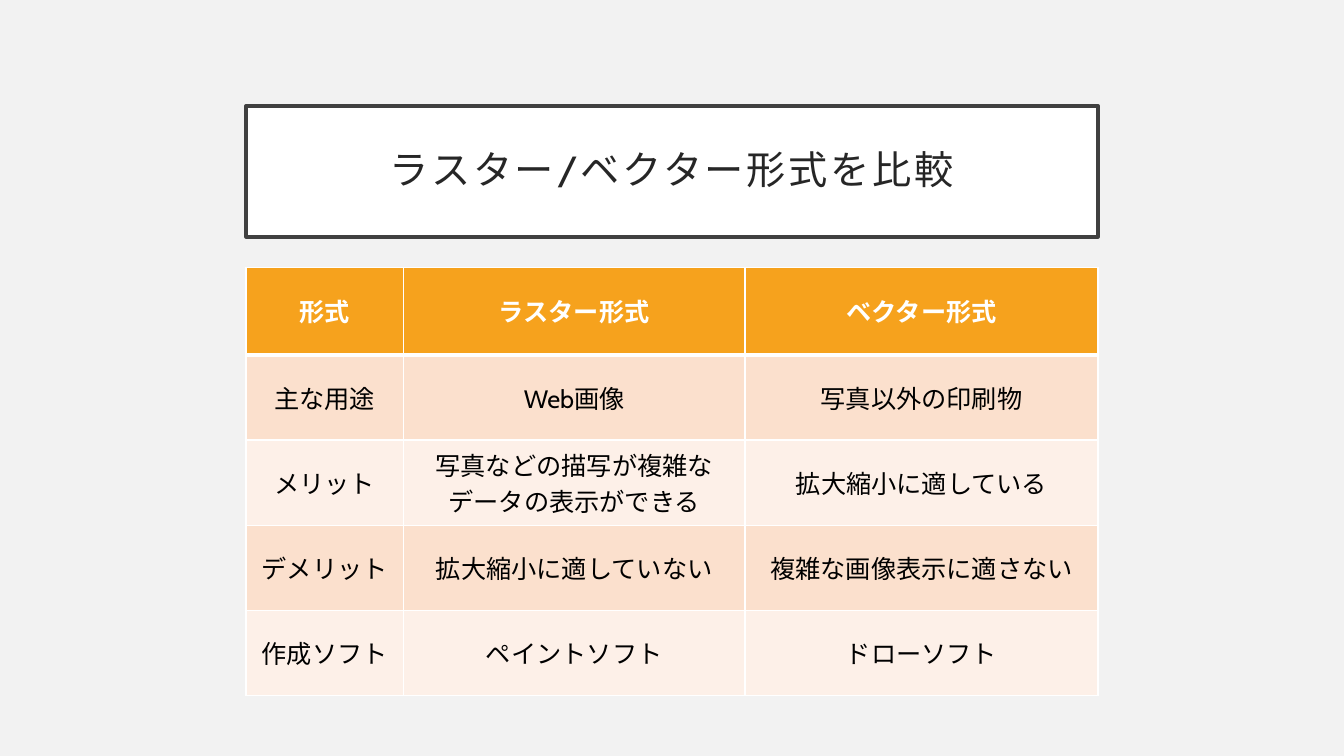
"""Build a slide comparing raster and vector formats in a table."""
from dataclasses import dataclass

from lxml.etree import SubElement
from pptx import Presentation
from pptx.dml.color import RGBColor as Rgb
from pptx.enum.lang import MSO_LANGUAGE_ID as Language
from pptx.enum.shapes import MSO_SHAPE as Shape
from pptx.enum.text import MSO_ANCHOR as Anchor, PP_ALIGN as Align
from pptx.oxml.ns import qn
from pptx.util import Inches, Pt

COLORS = {
    "page": "F2F2F2",
    "white": "FFFFFF",
    "frame": "404040",
    "title": "262626",
    "header": "F6A21D",
    "odd": "FBE0CD",
    "even": "FDF0E8",
    "body": "000000",
}
LEFT = 2.44
COLUMN_WIDTHS = (1.56, 3.39, 3.5)
HEADER_HEIGHT, BODY_HEIGHT = 0.87, 0.845
THIN, THICK = 1, 3


@dataclass(frozen=True)
class TextStyle:
    color: str
    size: float = 18
    bold: bool = False


@dataclass(frozen=True)
class RowStyle:
    fill: str
    text: TextStyle
    top: float = THIN
    bottom: float = THIN


TITLE_TEXT = TextStyle("title", 28)
BODY_TEXT = TextStyle("body")
HEADER_ROW = RowStyle("header", TextStyle("white", bold=True), bottom=THICK)
FIRST_ROW = RowStyle("odd", BODY_TEXT, top=THICK)
ODD_ROW = RowStyle("odd", BODY_TEXT)
EVEN_ROW = RowStyle("even", BODY_TEXT)

ROWS = (
    (HEADER_ROW, ("形式", "ラスター形式", "ベクター形式")),
    (FIRST_ROW, ("主な用途", "Web画像", "写真以外の印刷物")),
    (EVEN_ROW, ("メリット", "写真などの描写が複雑なデータの表示ができる", "拡大縮小に適している")),
    (ODD_ROW, ("デメリット", "拡大縮小に適していない", "複雑な画像表示に適さない")),
    (EVEN_ROW, ("作成ソフト", "ペイントソフト", "ドローソフト")),
)


def color(name: str) -> Rgb:
    return Rgb.from_string(COLORS[name])


def paint(fill, name: str) -> None:
    fill.solid()
    fill.fore_color.rgb = color(name)


def write(frame, text: str, style: TextStyle):
    para = frame.paragraphs[0]
    para.alignment = Align.CENTER
    span = para.add_run()
    span.text = text
    font_format = {
        "name": "Cabin",
        "size": Pt(style.size),
        "bold": style.bold,
        "language_id": Language.JAPANESE,
    }
    for key, value in font_format.items():
        setattr(span.font, key, value)
    span.font.color.rgb = color(style.color)
    return para, span


def add_title(page, text: str) -> None:
    box = page.shapes.add_shape(
        Shape.RECTANGLE, Inches(LEFT), Inches(1.05), Inches(sum(COLUMN_WIDTHS)), Inches(1.3)
    )
    box.shadow.inherit = False
    paint(box.fill, "white")
    paint(box.line.fill, "frame")
    box.line.width = Pt(2.5)
    frame = box.text_frame
    frame_format = {"word_wrap": True, "vertical_anchor": Anchor.MIDDLE}
    for side in ("left", "top", "right", "bottom"):
        frame_format[f"margin_{side}"] = Inches(0.2)
    for key, value in frame_format.items():
        setattr(frame, key, value)
    para, span = write(frame, text, TITLE_TEXT)
    para.line_spacing = 0.9
    span.font._element.set("spc", "200")


def add_borders(cell, style: RowStyle) -> None:
    properties = cell._tc.get_or_add_tcPr()
    widths = {"lnL": THIN, "lnR": THIN, "lnT": style.top, "lnB": style.bottom}
    for tag, width in widths.items():
        line = SubElement(properties, qn(f"a:{tag}"), w=str(Pt(width)))
        fill = SubElement(line, qn("a:solidFill"))
        SubElement(fill, qn("a:srgbClr"), val=COLORS["white"])


def add_comparison(page) -> None:
    heights = [HEADER_HEIGHT] + [BODY_HEIGHT] * (len(ROWS) - 1)
    table = page.shapes.add_table(
        len(ROWS), len(COLUMN_WIDTHS), Inches(LEFT), Inches(2.65),
        Inches(sum(COLUMN_WIDTHS)), Inches(sum(heights)),
    ).table
    for column, width in zip(table.columns, COLUMN_WIDTHS):
        column.width = Inches(width)
    for row, height, (style, texts) in zip(table.rows, heights, ROWS):
        row.height = Inches(height)
        for cell, text in zip(row.cells, texts):
            add_borders(cell, style)
            paint(cell.fill, style.fill)
            cell.vertical_anchor = Anchor.MIDDLE
            write(cell.text_frame, text, style.text)


def main() -> None:
    deck = Presentation()
    deck.slide_width, deck.slide_height = Inches(13.33), Inches(7.5)
    page = deck.slides.add_slide(deck.slide_layouts[6])
    paint(page.background.fill, "page")
    add_title(page, "ラスター/ベクター形式を比較")
    add_comparison(page)
    deck.save("out.pptx")


if __name__ == "__main__":
    main()
